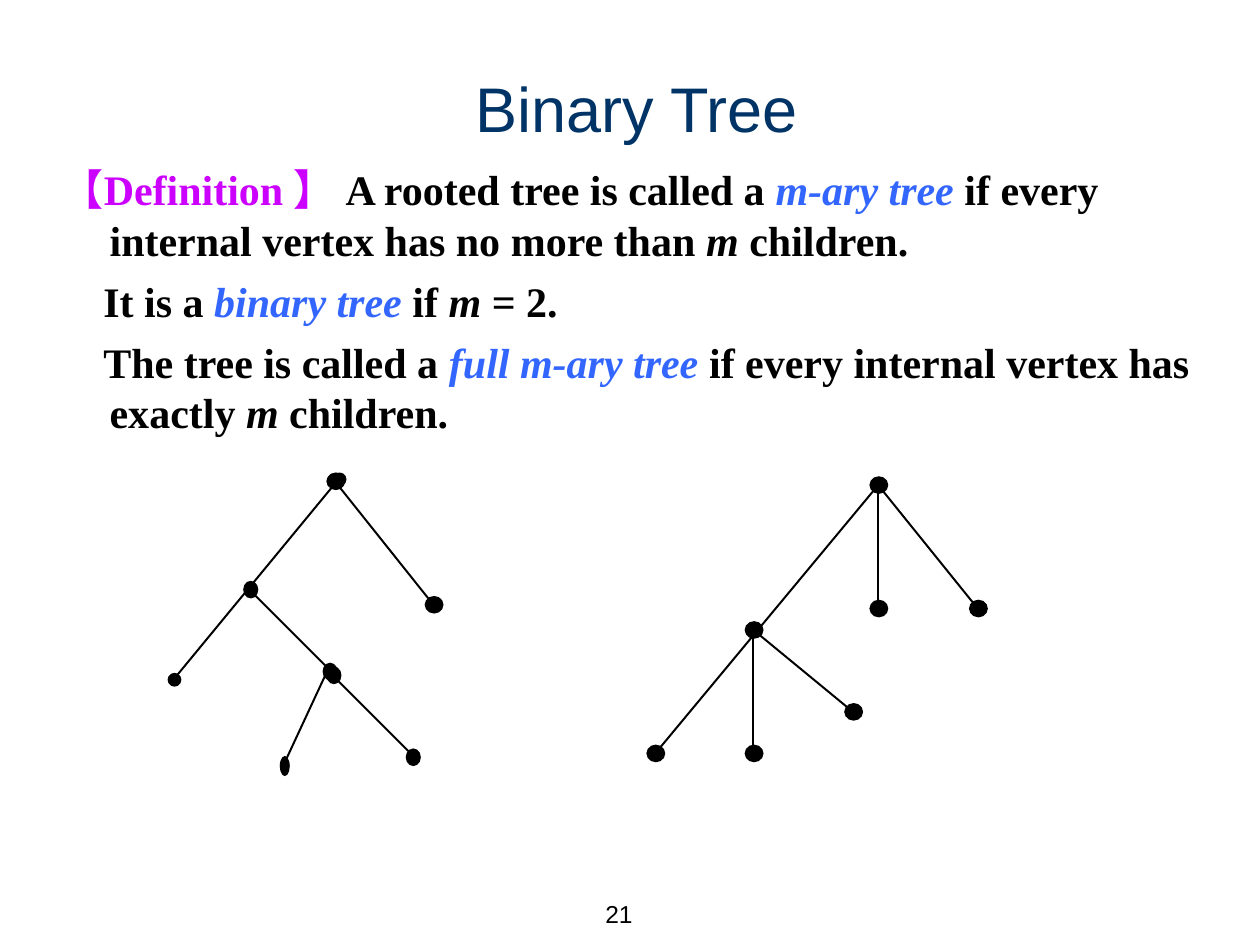
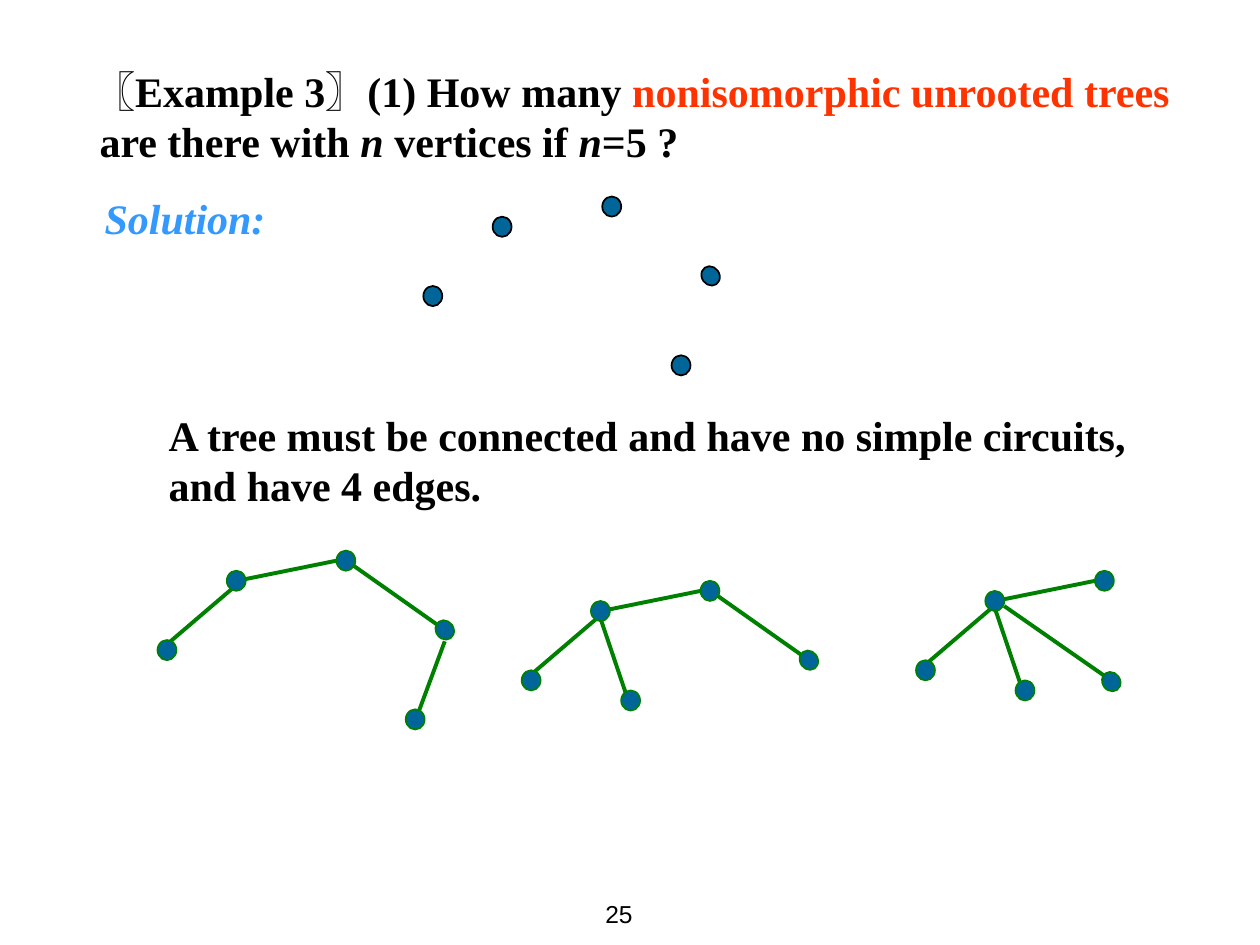
from dataclasses import dataclass

from lxml import etree
from pptx import Presentation
from pptx.dml.color import RGBColor
from pptx.enum.shapes import MSO_CONNECTOR, MSO_SHAPE
from pptx.enum.text import MSO_ANCHOR, MSO_AUTO_SIZE, PP_ALIGN
from pptx.oxml.ns import qn
from pptx.util import Inches, Pt

OVAL = MSO_SHAPE.OVAL
STRAIGHT = MSO_CONNECTOR.STRAIGHT
MIDDLE, TOP = MSO_ANCHOR.MIDDLE, MSO_ANCHOR.TOP
FIXED = MSO_AUTO_SIZE.NONE
CENTER, LEFT, RIGHT = PP_ALIGN.CENTER, PP_ALIGN.LEFT, PP_ALIGN.RIGHT


@dataclass(frozen=True)
class Theme:
    sans: str = "Arial"
    serif: str = "Times New Roman"
    black: str = "000000"
    navy: str = "003366"
    violet: str = "CC00FF"
    blue: str = "3366FF"
    sky: str = "3399FF"
    red: str = "FF3300"
    teal: str = "006699"
    green: str = "008000"
    head: int = 36
    text: int = 24
    foot: int = 14
    thin: float = 1.13
    thick: float = 2.25
    rim: float = 1


THEME = Theme()


class Deck:
    def __init__(self, theme):
        self.theme = theme
        self.file = Presentation()
        self.file.slide_width = Inches(10)
        self.file.slide_height = Inches(7.5)
        self.slide = None

    def page(self, number):
        self.slide = self.file.slides.add_slide(self.file.slide_layouts[1])
        box = self.slide.shapes.add_textbox(*map(Inches, (4.45, 7, 0.67, 0.5)))
        frame = box.text_frame
        frame.word_wrap = False
        frame.vertical_anchor = MIDDLE
        para = frame.paragraphs[0]
        para.alignment = RIGHT
        para.add_run().text = str(number)
        self.font(para.font, self.theme.sans, self.theme.foot, self.theme.black)

    def font(self, font, name, size, color, bold=False):
        font.name, font.size, font.bold = name, Pt(size), bold
        font.color.rgb = RGBColor.from_string(color)

    def place(self, shape, area):
        shape.left, shape.top, shape.width, shape.height = map(Inches, area)

    def title(self, text, area):
        shape = self.slide.shapes.title
        self.place(shape, area)
        frame = shape.text_frame
        frame.auto_size, frame.vertical_anchor = FIXED, MIDDLE
        para = frame.paragraphs[0]
        para.alignment = CENTER
        para.add_run().text = text
        self.font(para.font, self.theme.sans, self.theme.head, self.theme.navy)

    def drop(self):
        node = self.slide.shapes.title.element
        node.getparent().remove(node)

    def body(self, area, paras):
        shape = self.slide.placeholders[1]
        self.place(shape, area)
        self.fill(shape.text_frame, paras)

    def note(self, area, paras):
        box = self.slide.shapes.add_textbox(*map(Inches, area))
        self.fill(box.text_frame, paras)

    def fill(self, frame, paras):
        frame.word_wrap, frame.auto_size = True, FIXED
        frame.vertical_anchor = TOP
        for i, (first, gap, runs) in enumerate(paras):
            para = frame.add_paragraph() if i else frame.paragraphs[0]
            para.alignment = LEFT
            para.space_before = Pt(gap)
            props = para._p.get_or_add_pPr()
            props.set("marL", str(Inches(0.38)))
            props.set("indent", str(Inches(first)))
            etree.SubElement(props, qn("a:buNone"))
            self.font(para.font, self.theme.serif, self.theme.text,
                      self.theme.black, True)
            for text, color, slant in runs:
                run = para.add_run()
                run.text = text
                run.font.italic = slant
                run.font.color.rgb = RGBColor.from_string(color)

    def line(self, start, end, color, width):
        edge = self.slide.shapes.add_connector(
            STRAIGHT, *map(Inches, (*start, *end)))
        edge.line.color.rgb = RGBColor.from_string(color)
        edge.line.width = Pt(width)
        etree.SubElement(edge._element.spPr, qn("a:effectLst"))

    def dot(self, area, color, rim=None, turn=0):
        oval = self.slide.shapes.add_shape(OVAL, *map(Inches, area))
        oval.shadow.inherit = False
        oval.fill.solid()
        oval.fill.fore_color.rgb = RGBColor.from_string(color)
        oval.rotation = turn
        if rim:
            oval.line.color.rgb = RGBColor.from_string(rim)
            oval.line.width = Pt(self.theme.rim)
        else:
            oval.line.fill.background()

    def tree(self, edges, dots):
        for start, end in edges:
            self.line(start, end, self.theme.black, self.theme.thin)
        for x, y, wide, high in dots:
            self.dot((x, y, wide, high), self.theme.black)

    def graph(self, hub, edges, nodes, tilt, rim):
        x, y = hub
        for a, b, c, d in edges:
            self.line((x + a, y + b), (x + c, y + d), rim, self.theme.thick)
        for a, b in nodes:
            self.dot((x + a, y + b, 0.15, 0.16), self.theme.teal, rim)
        a, b = tilt
        self.dot((x + a, y + b, 0.14, 0.16), self.theme.teal, rim, 324.8)


def plain(text):
    return text, THEME.black, False


def slant(text, color=THEME.black):
    return text, color, True


def binary(deck):
    deck.page(21)
    deck.title("Binary Tree", (0.55, 0.47, 9, 0.77))
    deck.body((0.39, 1.25, 9.26, 2.28), [
        (-0.38, 0, [("【Definition 】 ", THEME.violet, False),
                    plain("A rooted tree is called a "),
                    slant("m-ary tree ", THEME.blue),
                    plain("if every internal vertex has no more than "),
                    slant("m"), plain(" children.")]),
        (-0.05, 6, [plain("It is a "), slant("binary tree ", THEME.blue),
                    plain("if "), slant("m"), plain(" = 2.")]),
        (-0.05, 6, [plain("The tree is called a "),
                    slant("full m-ary tree ", THEME.blue),
                    plain("if every internal vertex has exactly "),
                    slant("m"), plain(" children.")]),
    ])
    root, fork = (6.97, 3.85), (5.98, 5)
    leaves = [(5.2, 5.98), (6.97, 4.83), (7.76, 4.83)]
    twigs = [(5.98, 5.98), (6.77, 5.65)]
    deck.tree([(root, end) for end in leaves] + [(fork, end) for end in twigs],
              [(x - 0.07, y - 0.07, 0.15, 0.14)
               for x, y in [root, fork, *leaves, *twigs]])
    deck.tree(
        [((2.69, 3.8), (1.38, 5.39)), ((2.65, 3.81), (3.44, 4.8)),
         ((1.98, 4.68), (2.62, 5.32)), ((2.64, 5.36), (3.28, 6)),
         ((2.6, 5.32), (2.27, 6.03))],
        [(2.64, 3.75, 0.11, 0.11), (1.33, 5.34, 0.11, 0.11),
         (2.59, 3.75, 0.15, 0.14), (3.37, 4.73, 0.15, 0.14),
         (1.93, 4.61, 0.12, 0.14), (2.56, 5.26, 0.12, 0.14),
         (2.59, 5.29, 0.12, 0.14), (3.22, 5.94, 0.12, 0.14),
         (2.22, 6, 0.08, 0.16)])


def example(deck):
    deck.page(25)
    deck.drop()
    deck.body((0.31, 0.47, 9.22, 1.81), [
        (-0.05, 0, [plain("〖Example 3〗(1) How many "),
                    ("nonisomorphic unrooted trees", THEME.red, False),
                    plain(" are there with "), slant("n "),
                    plain("vertices if "), slant("n"), plain("=5 ?")]),
        (0.04, 15, [slant("Solution:", THEME.sky)]),
    ])
    deck.note((0.86, 3.2, 8.74, 1.1), [
        (0, 0, [plain("A tree must be connected and have no simple circuits, "
                      "and have 4 edges.")]),
    ])
    base = [(0, 0), (-0.55, 0.55), (0.87, -0.16)]
    arms = [(-0.47, 0.58, 0.08, 0.11), (0.08, 0.08, 0.87, -0.08)]
    far, low, mid = (1.66, 0.39), (1.42, 1.1), (0.24, 0.71)
    slope = (0.95, -0.08, 1.73, 0.47)
    tail = (1.73, 0.56, 1.5, 1.18)
    stem = (0.08, 0.15, 0.32, 0.86)
    for hub, extra, leaf, tilt, rim in [
        ((3.91, 1.72), None, low, far, THEME.black),
        ((1.8, 4.53), [slope, tail], low, far, THEME.green),
        ((4.69, 4.77), [slope, stem], mid, far, THEME.green),
        ((7.82, 4.69), [(0.15, 0.12, 0.94, 0.67), stem], mid, (0.93, 0.64),
         THEME.green),
    ]:
        edges = arms + extra if extra else []
        deck.graph(hub, edges, base + [leaf], tilt, rim)


def main():
    deck = Deck(THEME)
    binary(deck)
    example(deck)
    deck.file.save("out.pptx")


if __name__ == "__main__":
    main()
